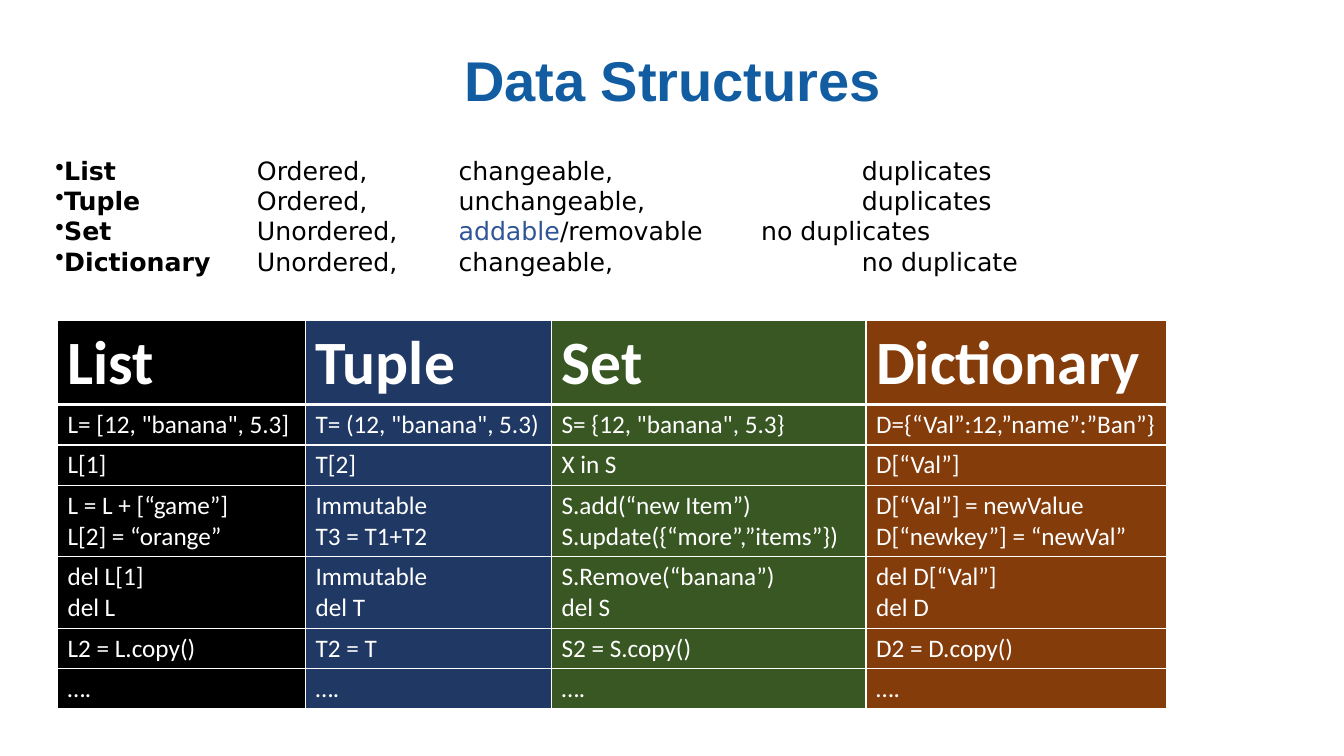
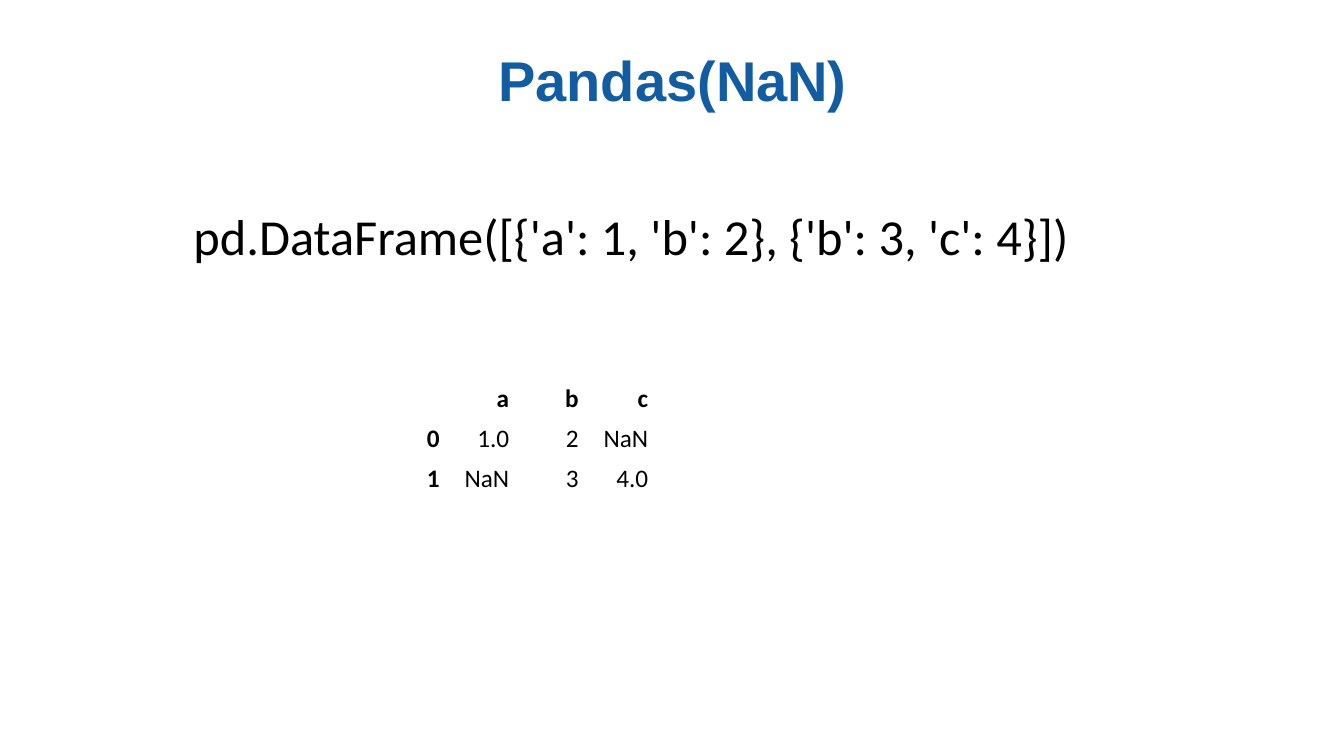
import pptx
import pptx.dml.color
import pptx.enum.text
import pptx.oxml
import pptx.oxml.ns
import pptx.util

Inches = pptx.util.Inches
RGBColor = pptx.dml.color.RGBColor
ALIGN = pptx.enum.text.PP_ALIGN
ANCHOR = pptx.enum.text.MSO_ANCHOR

TITLE_BLUE = RGBColor(0x12, 0x5D, 0xA2)
LINK_BLUE = RGBColor(0x2F, 0x55, 0x97)
BLACK = RGBColor(0, 0, 0)
WHITE = RGBColor(255, 255, 255)
NAVY = RGBColor(0x20, 0x38, 0x64)
GREEN = RGBColor(0x38, 0x57, 0x23)
BROWN = RGBColor(0x84, 0x3C, 0x0B)

PROPERTIES = [
    ([("List", True, BLACK), ("\tOrdered,\tchangeable,\tduplicates", False, BLACK)], (2, 4, 8)),
    ([("Tuple", True, BLACK), ("\tOrdered,\tunchangeable,\tduplicates", False, BLACK)], (2, 4, 8)),
    ([("Set", True, BLACK), ("\tUnordered,\t", False, BLACK), ("addable", False, LINK_BLUE),
      ("/removable\tno duplicates", False, BLACK)], (2, 4, 7)),
    ([("Dictionary", True, BLACK), ("\tUnordered,\tchangeable,\tno duplicate", False, BLACK)], (2, 4, 8)),
]

STRUCTURES = [
    ("List", "Tuple", "Set", "Dictionary"),
    ('L= [12, "banana", 5.3]', 'T= (12, "banana", 5.3)', 'S= {12, "banana", 5.3}',
     "D={“Val”:12,”name”:”Ban”}"),
    ("L[1]", "T[2]", "X in S", "D[“Val”]"),
    ("L = L + [“game”]\nL[2] = “orange”", "Immutable\nT3 = T1+T2",
     "S.add(“new Item”)\nS.update({“more”,”items”})",
     "D[“Val”] = newValue\nD[“newkey”] = “newVal”"),
    ("del L[1]\ndel L", "Immutable\ndel T", "S.Remove(“banana”)\ndel S", "del D[“Val”]\ndel D"),
    ("L2 = L.copy()", "T2 = T", "S2 = S.copy()", "D2 = D.copy()"),
    ("….",) * 4,
]
STRUCTURE_FILLS = (BLACK, NAVY, GREEN, BROWN)
STRUCTURE_WIDTHS = (2.46, 2.44, 3.12, 2.98)
STRUCTURE_HEIGHTS = (0.83, 0.4, 0.4, 0.71, 0.71, 0.4, 0.4)

CODE = "pd.DataFrame([{'a': 1, 'b': 2}, {'b': 3, 'c': 4}])"
FRAME = [
    ("", "a", "b", "c"),
    ("0", "1.0", "2", "NaN"),
    ("1", "NaN", "3", "4.0"),
]


def style_run(run, font, size, color, bold=False):
    run.font.name = font
    run.font.size = pptx.util.Pt(size)
    run.font.color.rgb = color
    run.font.bold = bold


def add_text_box(slide, left, top, width, height):
    box = slide.shapes.add_textbox(Inches(left), Inches(top), Inches(width), Inches(height))
    box.text_frame.word_wrap = True
    return box.text_frame


def add_titled_slide(title):
    slide = presentation.slides.add_slide(presentation.slide_layouts[6])
    frame = add_text_box(slide, 0.92, 0.4, 11.5, 0.85)
    frame.vertical_anchor = ANCHOR.MIDDLE
    frame.text = title
    paragraph = frame.paragraphs[0]
    paragraph.alignment = ALIGN.CENTER
    paragraph.line_spacing = 0.9
    style_run(paragraph.runs[0], "Arial", 40, TITLE_BLUE, True)
    return slide


def add_bullet_and_tabs(paragraph, stops):
    properties = paragraph._p.get_or_add_pPr()
    properties.set("marL", "0")
    properties.set("indent", "0")
    namespace = pptx.oxml.ns.nsdecls("a")
    tabs = "".join(f'<a:tab pos="{Inches(stop)}" algn="l"/>' for stop in stops)
    properties.append(pptx.oxml.parse_xml(f'<a:buChar {namespace} char="•"/>'))
    properties.append(pptx.oxml.parse_xml(f"<a:tabLst {namespace}>{tabs}</a:tabLst>"))


def add_borders(cell, color, top, bottom):
    properties = cell._tc.get_or_add_tcPr()
    for side, points in (("L", 1), ("R", 1), ("T", top), ("B", bottom)):
        properties.append(pptx.oxml.parse_xml(
            f'<a:ln{side} {pptx.oxml.ns.nsdecls("a")} w="{pptx.util.Pt(points)}">'
            f'<a:solidFill><a:srgbClr val="{color}"/></a:solidFill></a:ln{side}>'))


def add_plain_table(slide, rows, left, top, widths, heights):
    table = slide.shapes.add_table(
        len(rows), len(widths), Inches(left), Inches(top),
        Inches(sum(widths)), Inches(sum(heights))).table
    table.first_row = table.horz_banding = False
    for column, width in zip(table.columns, widths):
        column.width = Inches(width)
    for row, height in zip(table.rows, heights):
        row.height = Inches(height)
    for r, texts in enumerate(rows):
        for c, text in enumerate(texts):
            table.cell(r, c).text_frame.text = text
    return table


def style_cell(cell, size, color, bold):
    for paragraph in cell.text_frame.paragraphs:
        for run in paragraph.runs:
            style_run(run, "Calibri", size, color, bold)


def build_structures():
    slide = add_titled_slide("Data Structures")
    frame = add_text_box(slide, 0.45, 1.49, 12.38, 1.31)
    for index, (parts, stops) in enumerate(PROPERTIES):
        paragraph = frame.add_paragraph() if index else frame.paragraphs[0]
        add_bullet_and_tabs(paragraph, stops)
        for text, bold, color in parts:
            run = paragraph.add_run()
            run.text = text
            style_run(run, "DejaVu Sans", 18, color, bold)

    table = add_plain_table(slide, STRUCTURES, 0.57, 3.18, STRUCTURE_WIDTHS, STRUCTURE_HEIGHTS)
    for r in range(len(STRUCTURES)):
        header = r == 0
        for c, fill in enumerate(STRUCTURE_FILLS):
            cell = table.cell(r, c)
            add_borders(cell, WHITE, 3 if r == 1 else 1, 3 if header else 1)
            cell.fill.solid()
            cell.fill.fore_color.rgb = fill
            style_cell(cell, 44 if header else 18, WHITE, header)


def build_missing_values():
    slide = add_titled_slide("Pandas(NaN)")
    frame = add_text_box(slide, 1.82, 1.99, 9.42, 1.01)
    frame.text = CODE
    style_run(frame.paragraphs[0].runs[0], "Calibri", 36, BLACK)

    table = add_plain_table(slide, FRAME, 3.77, 3.75, [0.69] * 4, [0.4] * 3)
    for r in range(len(FRAME)):
        for c in range(len(FRAME[r])):
            cell = table.cell(r, c)
            cell.fill.background()
            cell.vertical_anchor = ANCHOR.MIDDLE
            cell.text_frame.paragraphs[0].alignment = ALIGN.RIGHT
            style_cell(cell, 18, BLACK, r == 0 or c == 0)


presentation = pptx.Presentation()
presentation.slide_width = Inches(13.33)
presentation.slide_height = Inches(7.5)
build_structures()
build_missing_values()
presentation.save("out.pptx")
